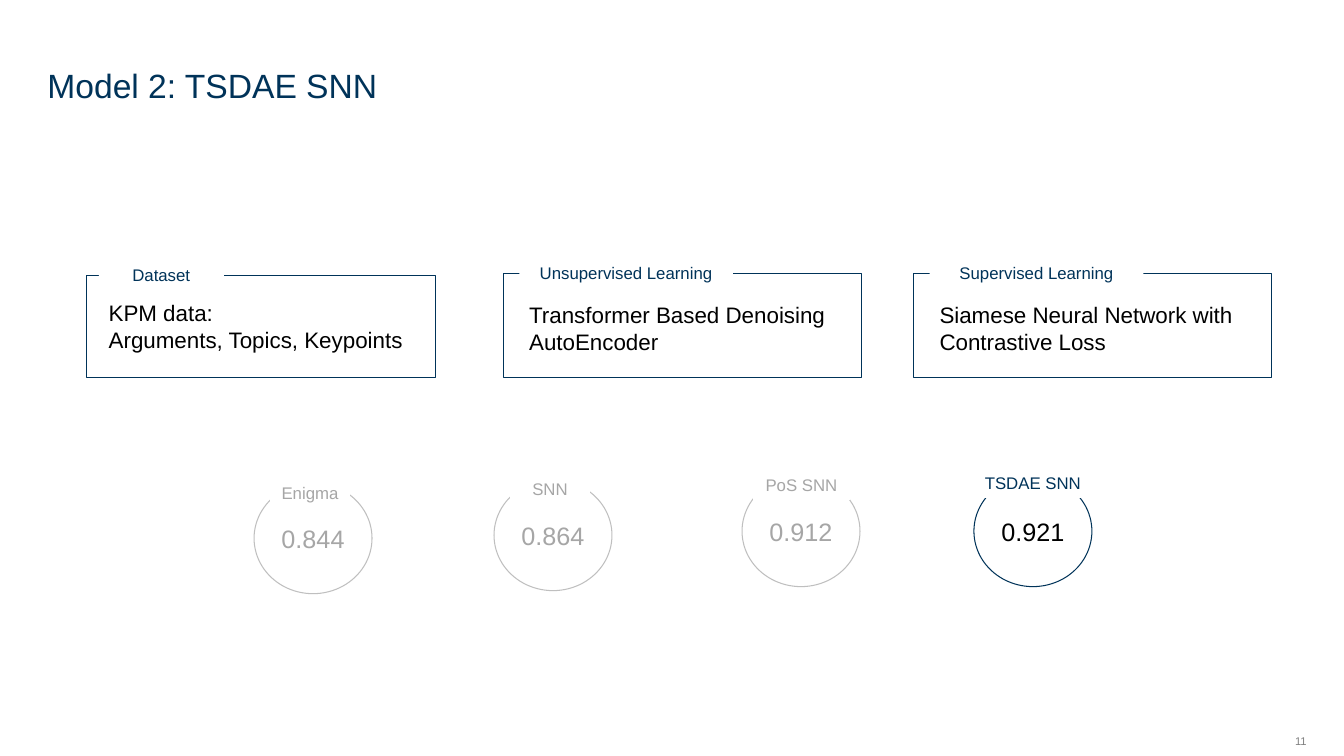
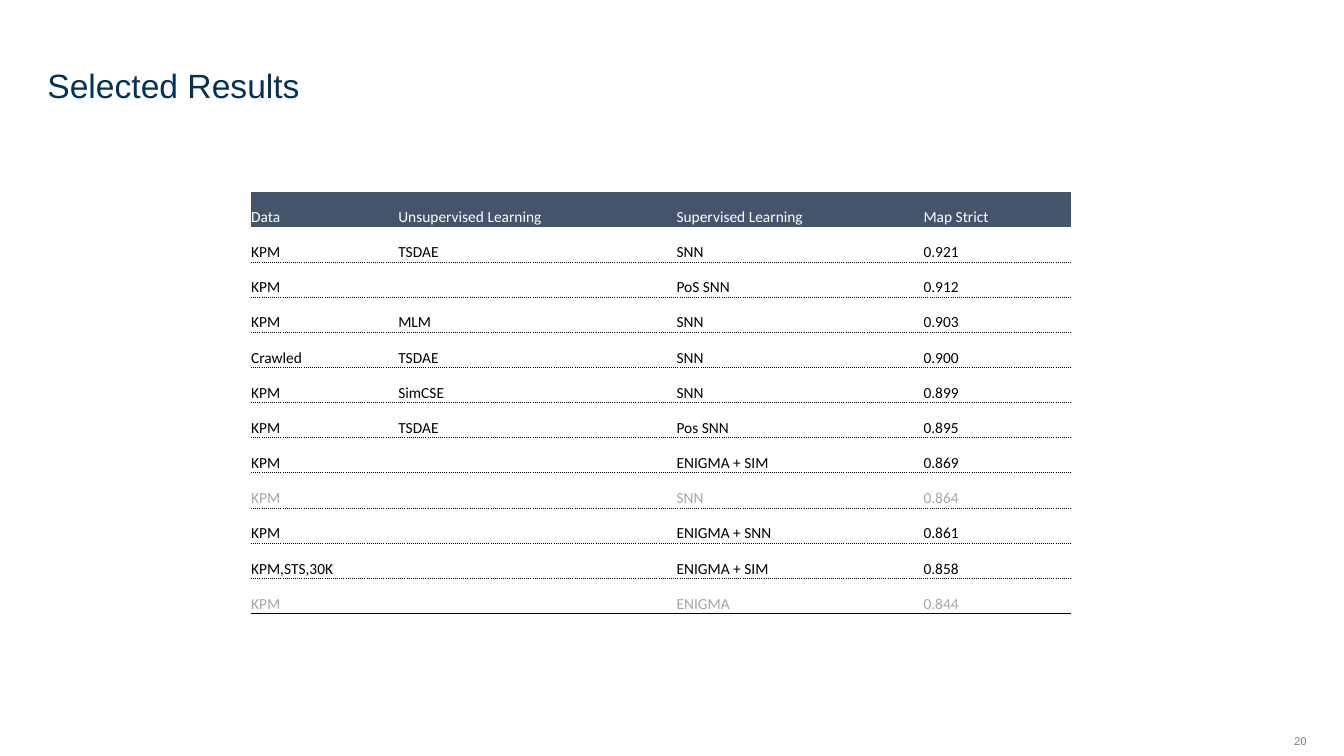
from dataclasses import dataclass

from lxml.etree import SubElement
from pptx import Presentation
from pptx.dml.color import RGBColor as RGB
from pptx.enum.shapes import MSO_SHAPE as SHAPE
from pptx.enum.text import MSO_ANCHOR as ANCHOR, MSO_AUTO_SIZE as AUTO_SIZE, PP_ALIGN as ALIGN
from pptx.oxml.ns import qn
from pptx.util import Pt

PX = 9144  # EMU per px, 100 px to the inch


@dataclass(frozen=True)
class Theme:
    navy: RGB = RGB(0x00, 0x33, 0x59)
    black: RGB = RGB(0, 0, 0)
    white: RGB = RGB(255, 255, 255)
    faded: RGB = RGB(0xA6, 0xA6, 0xA6)
    ring: RGB = RGB(0xBF, 0xBF, 0xBF)
    number: RGB = RGB(0x80, 0x80, 0x80)
    header: RGB = RGB(0x44, 0x54, 0x6A)
    font: str = "Arial"
    table_font: str = "Calibri"
    title_size: int = 24
    score_size: int = 18
    body_size: int = 16
    label_size: int = 12
    table_size: int = 11
    number_size: int = 8


THEME = Theme()


def write(frame, text, size, color, align=ALIGN.LEFT, anchor=ANCHOR.TOP, font=THEME.font):
    frame.text = text
    frame.word_wrap = True
    frame.vertical_anchor = anchor
    for paragraph in frame.paragraphs:
        paragraph.alignment = align
        paragraph.font.name = font
        paragraph.font.size = Pt(size)
        paragraph.font.bold = False
        paragraph.font.color.rgb = color


def outline(shapes, kind, box, color):
    """Add an unfilled shape with a thin line."""
    shape = shapes.add_shape(kind, *(v * PX for v in box))
    shape.shadow.inherit = False
    shape.fill.background()
    shape.line.color.rgb = color
    shape.line.width = Pt(0.75)
    return shape


deck = Presentation()
deck.slide_width, deck.slide_height = 1333 * PX, 750 * PX

# Title and page number of every slide
slides = []
for heading, page in (("Model 2: TSDAE SNN", "11"), ("Selected Results", "20")):
    slide = deck.slides.add_slide(deck.slide_layouts[5])
    slides.append(slide)
    title = slide.shapes.title
    title.left, title.top, title.width, title.height = (v * PX for v in (37, 2, 1158, 102))
    write(title.text_frame, heading, THEME.title_size, THEME.navy, anchor=ANCHOR.BOTTOM)
    title.text_frame.auto_size = AUTO_SIZE.NONE
    title.text_frame.margin_top = title.text_frame.margin_bottom = 0
    footer = slide.shapes.add_textbox(*(v * PX for v in (1260, 719, 36, 32))).text_frame
    write(footer, page, THEME.number_size, THEME.number, ALIGN.RIGHT, ANCHOR.MIDDLE)
    footer.margin_right = 0
model_slide, results_slide = slides

# Pipeline steps: frame, inset, top and width of the body, width of the label
LABEL_HEIGHT = 30
steps = (
    ("Dataset", "KPM data:\nArguments, Topics, Keypoints",
     (86, 273, 346, 102), 12, 292, 334, 124),
    ("Unsupervised Learning", "Transformer Based Denoising AutoEncoder",
     (499, 271, 355, 104), 16, 294, 314, 212),
    ("Supervised Learning", "Siamese Neural Network with Contrastive Loss",
     (906, 271, 355, 104), 16, 294, 314, 212),
)
labels = []
for name, body, frame_box, inset, body_top, body_width, label_width in steps:
    group = model_slide.shapes.add_group_shape().shapes
    outline(group, SHAPE.RECTANGLE, frame_box, THEME.navy)
    left, top = frame_box[0] + inset, frame_box[1]
    body_box = group.add_textbox(left * PX, body_top * PX, body_width * PX, 64 * PX)
    write(body_box.text_frame, body, THEME.body_size, THEME.black)
    labels.append((group, name, (left, top - LABEL_HEIGHT // 2, label_width), THEME.navy))

# Scores: corner of the ring, then left, top and width of the label
scores = (
    ("Enigma", "0.844", (252, 479), (268, 474, 79)),
    ("SNN", "0.864", (490, 476), (506, 470, 79)),
    ("PoS SNN", "0.912", (736, 472), (747, 466, 96)),
    ("TSDAE SNN", "0.921", (966, 472), (963, 464, 123)),
)
for name, value, corner, label_box in scores:
    current = name == "TSDAE SNN"
    group = model_slide.shapes.add_group_shape().shapes
    ring = outline(group, SHAPE.OVAL, (*corner, 117, 110), THEME.navy if current else THEME.ring)
    write(ring.text_frame, value, THEME.score_size, THEME.black if current else THEME.faded,
          ALIGN.CENTER, ANCHOR.MIDDLE)
    labels.append((group, name, label_box, THEME.navy if current else THEME.faded))

# White labels that interrupt the outlines
for group, name, label_box, color in labels:
    label = group.add_textbox(*(v * PX for v in (*label_box, LABEL_HEIGHT)))
    label.fill.solid()
    label.fill.fore_color.rgb = THEME.white
    write(label.text_frame, name, THEME.label_size, color, ALIGN.CENTER)

# Results table
results = (
    ("Data", "Unsupervised Learning", "Supervised Learning", "Map Strict"),
    ("KPM", "TSDAE", "SNN", "0.921"),
    ("KPM", "", "PoS SNN", "0.912"),
    ("KPM", "MLM", "SNN", "0.903"),
    ("Crawled", "TSDAE", "SNN", "0.900"),
    ("KPM", "SimCSE", "SNN", "0.899"),
    ("KPM", "TSDAE", "Pos SNN", "0.895"),
    ("KPM", "", "ENIGMA + SIM", "0.869"),
    ("KPM", "", "SNN", "0.864"),
    ("KPM", "", "ENIGMA + SNN", "0.861"),
    ("KPM,STS,30K", "", "ENIGMA + SIM", "0.858"),
    ("KPM", "", "ENIGMA", "0.844"),
)
baselines = ("0.864", "0.844")
column_widths = (146, 276, 245, 146)
table = results_slide.shapes.add_table(
    len(results), len(column_widths),
    *(v * PX for v in (249, 190, sum(column_widths), 419))).table
table.horz_banding = False
for column, width in zip(table.columns, column_widths):
    column.width = width * PX

last = len(results) - 1
for row, record in enumerate(results):
    color = THEME.white if row == 0 else THEME.faded if record[-1] in baselines else THEME.black
    dashes = {"lnL": None, "lnR": None,
              "lnT": "dot" if row > 1 else None,
              "lnB": None if row == 0 else "solid" if row == last else "dot"}
    for col, text in enumerate(record):
        cell = table.cell(row, col)
        write(cell.text_frame, text, THEME.table_size, color, font=THEME.table_font)
        cell.vertical_anchor = ANCHOR.BOTTOM
        cell.margin_left = cell.margin_right = cell.margin_top = cell.margin_bottom = 0
        properties = cell._tc.get_or_add_tcPr()
        for edge, dash in dashes.items():
            line = SubElement(properties, qn(f"a:{edge}"), w=str(Pt(0.5)))
            if dash is None:
                SubElement(line, qn("a:noFill"))
                continue
            fill = SubElement(line, qn("a:solidFill"))
            SubElement(fill, qn("a:srgbClr"), val=str(THEME.black))
            SubElement(line, qn("a:prstDash"), val=dash)
        if row == 0:
            cell.fill.solid()
            cell.fill.fore_color.rgb = THEME.header
        else:
            cell.fill.background()

deck.save("out.pptx")
